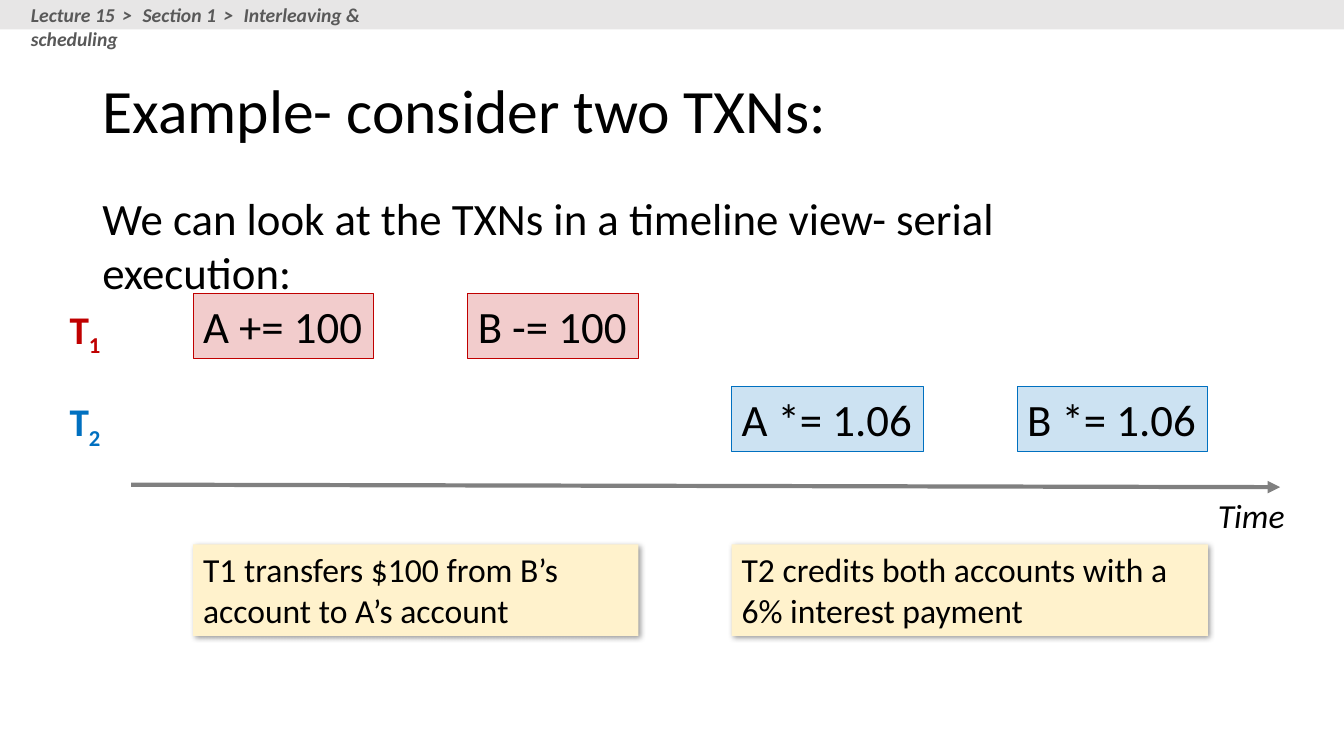
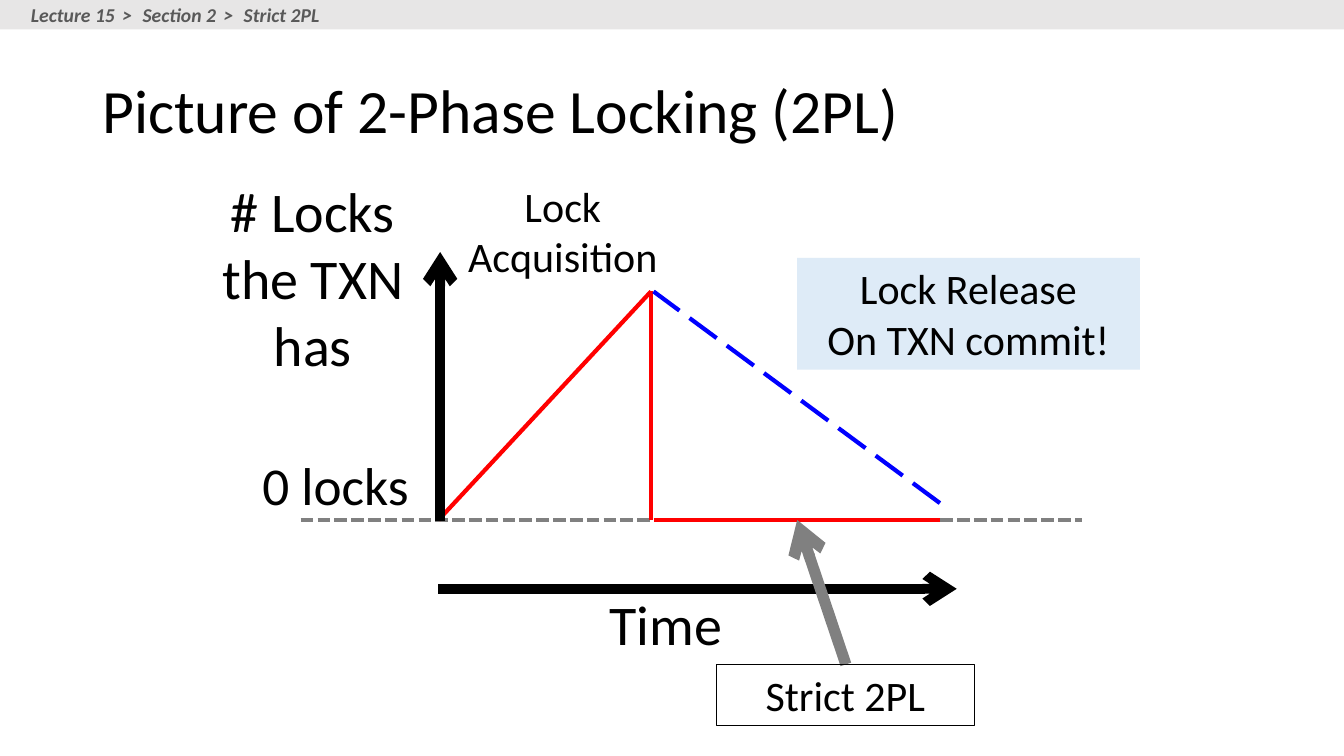
import dataclasses

import pptx
import pptx.dml.color
import pptx.enum.dml
import pptx.enum.shapes
import pptx.enum.text
import pptx.oxml
import pptx.oxml.ns
import pptx.util

ALIGN = pptx.enum.text.PP_ALIGN
ANCHOR = pptx.enum.text.MSO_ANCHOR
DASH = pptx.enum.dml.MSO_LINE
SHAPE = pptx.enum.shapes.MSO_SHAPE
STRAIGHT = pptx.enum.shapes.MSO_CONNECTOR.STRAIGHT


@dataclasses.dataclass(frozen=True)
class Theme:
    font: str = "Calibri"
    ink: str = "000000"
    band: str = "E7E6E6"
    crumb: str = "595959"
    gray: str = "808080"
    note: str = "FFF2CC"
    callout: str = "DEEBF7"
    first_txn: str = "C00000"
    second_txn: str = "0070C0"
    held: str = "FF0000"
    released: str = "0000FF"
    crumb_size: float = 14
    note_size: float = 24
    txn_size: float = 28
    caption_size: float = 30
    body_size: float = 32
    zero_size: float = 38
    axis_size: float = 40
    title_size: float = 44


class Deck:
    COLUMNS, ROWS = 160, 90

    def __init__(self, theme):
        self.theme = theme
        self.file = pptx.Presentation()
        self.file.slide_width = pptx.util.Inches(13.33)
        self.file.slide_height = pptx.util.Inches(7.5)
        self.slide = None

    def x(self, columns):
        return round(self.file.slide_width * columns / self.COLUMNS)

    def y(self, rows):
        return round(self.file.slide_height * rows / self.ROWS)

    def color(self, value):
        return pptx.dml.color.RGBColor.from_string(value)

    def new_slide(self, title, crumbs):
        self.slide = self.file.slides.add_slide(self.file.slide_layouts[6])
        self.box((0, 0, self.COLUMNS, 3.5), fill=self.theme.band)
        trail = self.text((2.5, -0.24, 52.4, 4.1), crumbs[0], self.theme.crumb_size,
                          self.theme.crumb, bold=True, italic=True)
        for crumb in crumbs[1:]:
            self.add_run(trail, " > ", spc="210")
            self.add_run(trail, crumb)
        heading = self.text((11, 4.8, 138, 17.4), title, self.theme.title_size,
                            anchor=ANCHOR.MIDDLE)
        heading.text_frame.paragraphs[0].line_spacing = 0.9

    def box(self, area, fill=None, opacity=None, line=None, shadow=False):
        left, top, width, height = area
        box = self.slide.shapes.add_shape(SHAPE.RECTANGLE, self.x(left), self.y(top),
                                          self.x(width), self.y(height))
        box.shadow.inherit = False
        properties = box._element.spPr
        if fill:
            box.fill.solid()
            box.fill.fore_color.rgb = self.color(fill)
        else:
            box.fill.background()
        if opacity:
            tint = properties.find(".//" + pptx.oxml.ns.qn("a:srgbClr"))
            pptx.oxml.ns.qn("a:alpha")
            tint.append(pptx.oxml.parse_xml(
                f'<a:alpha {pptx.oxml.ns.nsdecls("a")} val="{opacity * 1000}"/>'))
        if line:
            box.line.color.rgb = self.color(line)
            box.line.width = pptx.util.Pt(0.75)
        else:
            box.line.fill.background()
        if shadow:
            effects = properties.find(pptx.oxml.ns.qn("a:effectLst"))
            effects.append(pptx.oxml.parse_xml(
                f'<a:outerShdw {pptx.oxml.ns.nsdecls("a")} blurRad="50800" '
                'dist="19050" dir="2700000"><a:srgbClr val="000000">'
                '<a:alpha val="40000"/></a:srgbClr></a:outerShdw>'))
        return box

    def text(self, area, words, size, color=None, bold=False, italic=False,
             align=ALIGN.LEFT, anchor=ANCHOR.TOP, wrap=True, holder=None):
        left, top, width, height = area
        if holder is None:
            holder = self.slide.shapes.add_textbox(self.x(left), self.y(top),
                                                   self.x(width), self.y(height))
        frame = holder.text_frame
        frame.text = words
        frame.word_wrap = wrap
        frame.vertical_anchor = anchor
        for paragraph in frame.paragraphs:
            paragraph.alignment = align
            for run in paragraph.runs:
                run.font.name = self.theme.font
                run.font.size = pptx.util.Pt(size)
                run.font.bold = bold
                run.font.italic = italic
                run.font.color.rgb = self.color(color or self.theme.ink)
        return holder

    def add_run(self, holder, words, **attributes):
        paragraph = holder.text_frame.paragraphs[0]
        model = paragraph.runs[0].font
        run = paragraph.add_run()
        run.text = words
        run.font.name = model.name
        run.font.size = model.size
        run.font.bold = model.bold
        run.font.italic = model.italic
        run.font.color.rgb = model.color.rgb
        for key, value in attributes.items():
            run._r.get_or_add_rPr().set(key, value)

    def text_box(self, area, words, size, align=ALIGN.LEFT, wrap=True, **look):
        self.text(area, words, size, align=align, wrap=wrap,
                  holder=self.box(area, **look))

    def line(self, start, end, color, width=3, dash=None, arrow=None):
        line = self.slide.shapes.add_connector(
            STRAIGHT, self.x(start[0]), self.y(start[1]), self.x(end[0]), self.y(end[1]))
        line.line.color.rgb = self.color(color)
        line.line.width = pptx.util.Pt(width)
        if dash:
            line.line.dash_style = dash
        namespace = pptx.oxml.ns.nsdecls("a")
        if arrow:
            line.line._get_or_add_ln().append(
                pptx.oxml.parse_xml(f'<a:tailEnd {namespace} type="{arrow}"/>'))
        line._element.spPr.append(pptx.oxml.parse_xml(f"<a:effectLst {namespace}/>"))


def timeline_slide(deck):
    theme = deck.theme
    deck.new_slide("Example- consider two TXNs:",
                   ("Lecture 15", "Section 1", "Interleaving & scheduling"))
    deck.text((11, 22.1, 132, 7.7),
              "We can look at the TXNs in a timeline view- serial execution:",
              theme.body_size)
    transactions = (
        ("1", theme.first_txn, 35, (("A += 100", 23, 21.5), ("B -= 100", 55.7, 20.3)),
         "T1 transfers $100 from B’s account to A’s account"),
        ("2", theme.second_txn, 46, (("A *= 1.06", 87.1, 22.8), ("B *= 1.06", 121.1, 22.7)),
         "T2 credits both accounts with a 6% interest payment"),
    )
    for number, color, top, operations, note in transactions:
        name = deck.text((7.1, top + 0.7, 6.4, 6.8), "T", theme.txn_size, color,
                         bold=True, wrap=False)
        deck.add_run(name, number, baseline="-25000")
        for operation, left, width in operations:
            deck.text_box((left, top, width, 7.7), operation, theme.body_size,
                          wrap=False, fill=color, opacity=20, line=color)
        start = operations[0][1]
        end = operations[-1][1] + operations[-1][2]
        deck.text_box((start, 64.8, end - start, 10.9), note, theme.note_size,
                      fill=theme.note, shadow=True)
    deck.line((15.6, 57.7), (152.4, 58), theme.gray, arrow="triangle")
    deck.text((143.8, 58.3, 10.4, 6), "Time", theme.note_size, italic=True, wrap=False)


def locking_slide(deck):
    theme = deck.theme
    deck.new_slide("Picture of 2-Phase Locking (2PL)",
                   ("Lecture 15", "Section 2", "Strict 2PL"))
    zero, origin, finish = 61.9, 52.2, 111.9
    peak = (77.5, 34.7)
    commit = (peak[0], zero)
    strict = (94.9, zero)
    deck.line((35.8, zero), (128.8, zero), theme.gray, dash=DASH.SQUARE_DOT)
    deck.line((origin, zero), peak, theme.held)
    deck.line(commit, peak, theme.held)
    deck.line((77.8, zero), (finish, zero), theme.held)
    deck.line((finish, 59.9), (77.8, peak[1]), theme.released, dash=DASH.LONG_DASH)
    deck.line((origin, 70.1), (113.9, 70.1), theme.ink, 7, arrow="arrow")
    deck.line((52.4, 62), (52.4, 30), theme.ink, 7, arrow="arrow")
    deck.line((100.7, 79.1), strict, theme.gray, 8, arrow="arrow")
    labels = (
        ((63.6, 69.6, 31.3, 9.2), "Time", theme.axis_size),
        ((21.6, 20.4, 31.3, 25.4), "# Locks the TXN has", theme.axis_size),
        ((29.8, 53.2, 20.3, 8.9), "0 locks", theme.zero_size),
        ((51.8, 20.9, 30.4, 13.3), "Lock Acquisition", theme.caption_size),
    )
    for area, words, size in labels:
        deck.text(area, words, size, align=ALIGN.CENTER)
    deck.text_box((85.3, 79.1, 30.7, 7.3), "Strict 2PL", theme.caption_size,
                  ALIGN.CENTER, line=theme.ink)
    deck.text_box((94.9, 30.7, 40.8, 13.3), "Lock Release\nOn TXN commit!",
                  theme.caption_size, ALIGN.CENTER, fill=theme.callout)


def main():
    deck = Deck(Theme())
    timeline_slide(deck)
    locking_slide(deck)
    deck.file.save("out.pptx")


if __name__ == "__main__":
    main()
